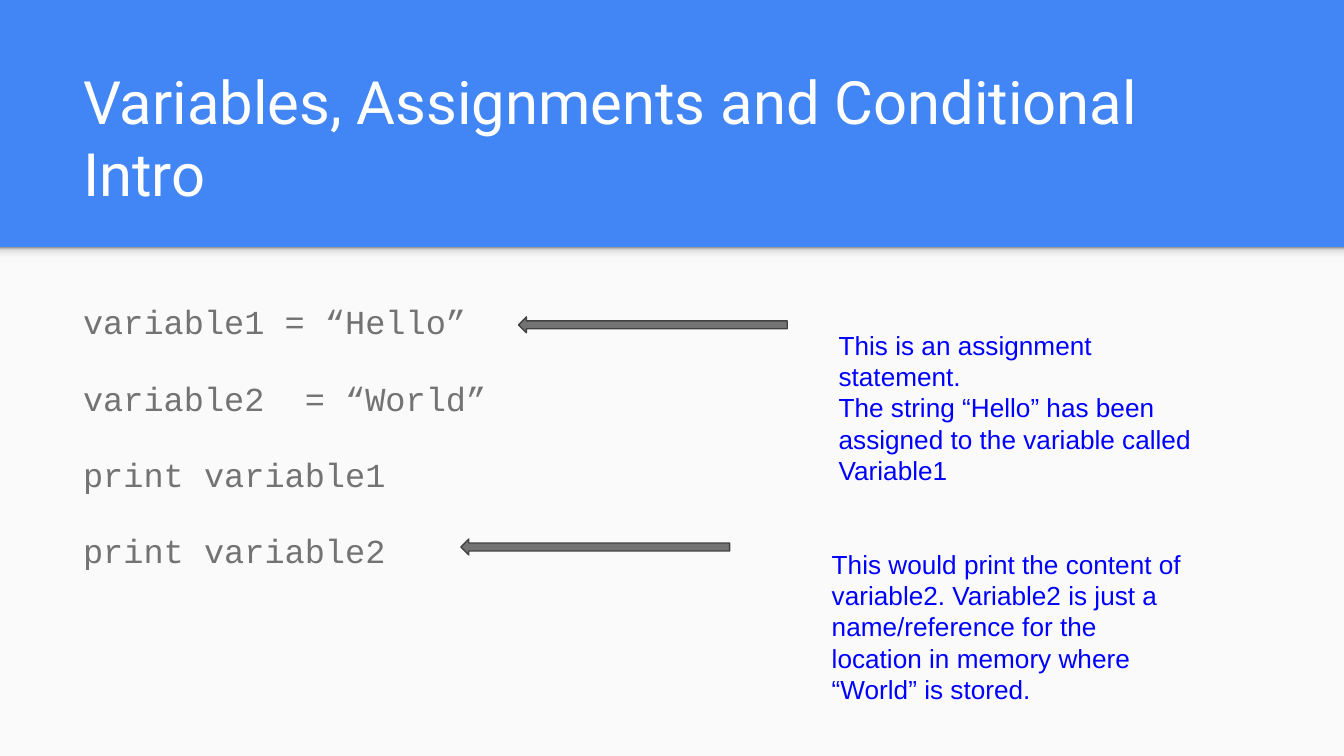
import pptx
import pptx.dml.color
import pptx.enum.shapes
import pptx.enum.text
import pptx.oxml.ns
import pptx.util
from lxml import etree

Cm = pptx.util.Cm
Pt = pptx.util.Pt
qn = pptx.oxml.ns.qn
SHAPES = pptx.enum.shapes.MSO_SHAPE
ANCHORS = pptx.enum.text.MSO_ANCHOR

WIDTH, HEIGHT, BANNER = 25.4, 14.29, 4.67
TITLE = ["Variables, Assignments and Conditional Intro"]
CODE = [
    "variable1 = “Hello”",
    "variable2  = “World”",
    "print variable1",
    "print variable2",
]
NOTES = [
    {
        "arrow": (9.8, 5.99),
        "place": (15.6, 5.97, 7.21, 3.81),
        "lines": [
            "This is an assignment statement.",
            "The string “Hello” has been assigned to the variable called Variable1",
        ],
    },
    {
        "arrow": (8.71, 10.19),
        "place": (15.47, 10.11, 7.21, 3.58),
        "lines": [
            "This would print the content of variable2. Variable2 is just a "
            "name/reference for the location in memory where “World” is stored.",
        ],
    },
]
ARROW_SIZE = (5.08, 0.3)
SHADOW_STOPS = [(0, "F9F9F9"), (36, "F9F9F9"), (80, "DEDEDE"), (100, "999999")]

TITLE_FONT = {"name": "Roboto", "size": Pt(32), "color": "FFFFFF"}
CODE_FONT = {"name": "Courier New", "size": Pt(18), "color": "737373"}
NOTE_FONT = {"name": "Arial", "size": Pt(14), "color": "0000FF"}
PLAIN = {"alignment": pptx.enum.text.PP_ALIGN.LEFT, "space_before": Pt(0)}
SPACED = {**PLAIN, "line_spacing": 1.15, "space_after": Pt(16)}


def paint(color, value):
    color.rgb = pptx.dml.color.RGBColor.from_string(value)


def assign(target, values):
    for name, value in values.items():
        setattr(target, name, value)


def put(box, place):
    assign(box, dict(zip(("left", "top", "width", "height"), map(Cm, place))))


def write(box, lines, font, layout, anchor=ANCHORS.TOP):
    frame = box.text_frame
    margins = {f"margin_{side}": Cm(0.25) for side in ("left", "right", "top", "bottom")}
    assign(frame, {
        **margins,
        "word_wrap": True,
        "auto_size": pptx.enum.text.MSO_AUTO_SIZE.NONE,
        "vertical_anchor": anchor,
    })
    for index, line in enumerate(lines):
        para = frame.add_paragraph() if index else frame.paragraphs[0]
        assign(para, layout)
        span = para.add_run()
        span.text = line
        assign(span.font, {"name": font["name"], "size": font["size"]})
        paint(span.font.color, font["color"])


def remove_bullets(box):
    for para in box.text_frame.paragraphs:
        properties = para._p.get_or_add_pPr()
        assign_indent = {"marL": "0", "indent": "0"}
        for name, value in assign_indent.items():
            properties.set(name, value)
        etree.SubElement(properties, qn("a:buNone"))


def add_block(page, kind, place, fill=None, line=None):
    block = page.shapes.add_shape(kind, *map(Cm, place))
    block.shadow.inherit = False
    if fill:
        block.fill.solid()
        paint(block.fill.fore_color, fill)
    if line:
        paint(block.line.color, line)
        block.line.width = Pt(0.75)
    else:
        block.line.fill.background()
    return block


def fade(block, stops):
    block.fill.gradient()
    block.fill.gradient_angle = 90
    stop_list = block.element.spPr.find(".//" + qn("a:gsLst"))
    stop_list.clear()
    for percent, value in stops:
        stop = etree.SubElement(stop_list, qn("a:gs"), pos=str(percent * 1000))
        etree.SubElement(stop, qn("a:srgbClr"), val=value)


def build():
    deck = pptx.Presentation()
    assign(deck, {"slide_width": Cm(WIDTH), "slide_height": Cm(HEIGHT)})
    page = deck.slides.add_slide(deck.slide_layouts[1])
    page.background.fill.solid()
    paint(page.background.fill.fore_color, "4285F4")

    title, code = page.placeholders
    panel = add_block(page, SHAPES.RECTANGLE, (0, BANNER, WIDTH, HEIGHT - BANNER), "FAFAFA")
    shade = add_block(page, SHAPES.RECTANGLE, (0, BANNER, WIDTH, 0.3))
    fade(shade, SHADOW_STOPS)
    for block in (panel, shade):
        title.element.addprevious(block.element)

    put(title, (1.32, 2.06, 22.83, 2.13))
    write(title, TITLE, TITLE_FONT, PLAIN, ANCHORS.BOTTOM)
    put(code, (1.32, 5.33, 22.83, 7.52))
    write(code, CODE, CODE_FONT, SPACED)
    remove_bullets(code)

    for note in NOTES:
        add_block(page, SHAPES.LEFT_ARROW, note["arrow"] + ARROW_SIZE, "737373", "424242")
        box = page.shapes.add_textbox(*map(Cm, note["place"]))
        write(box, note["lines"], NOTE_FONT, PLAIN)

    deck.save("out.pptx")


if __name__ == "__main__":
    build()
